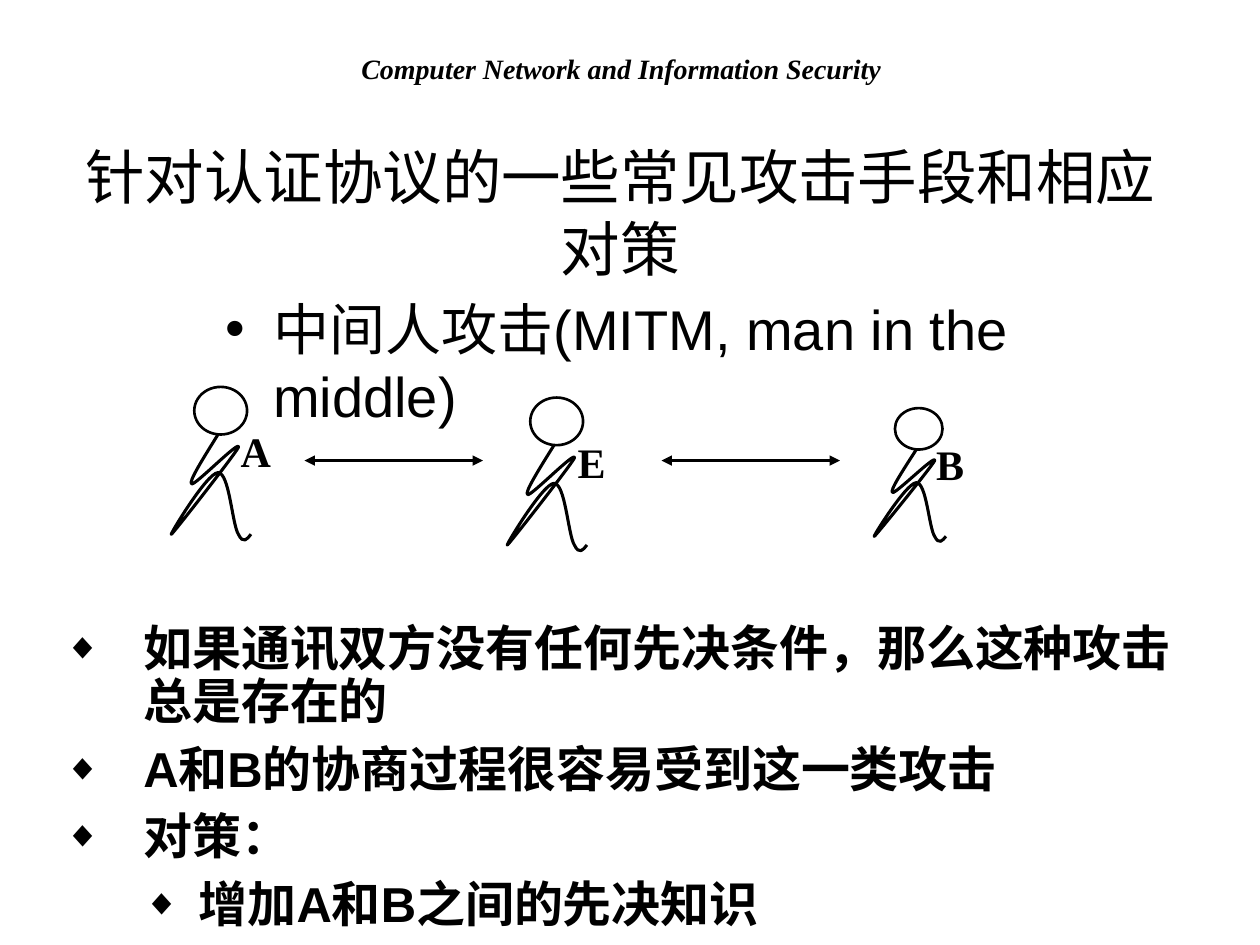
from dataclasses import dataclass

from lxml import etree
from pptx import Presentation
from pptx import util as u
from pptx.dml.color import RGBColor
from pptx.enum import shapes, text
from pptx.oxml.ns import qn

COLORS = {"ink": "000000", "paper": "FFFFFF"}
SANS, SERIF = "Arial", "Times New Roman"
CENTER = text.PP_ALIGN.CENTER
TOP, MIDDLE = text.MSO_ANCHOR.TOP, text.MSO_ANCHOR.MIDDLE

# Walking figure, in points from its top left corner
HEAD = (13, 0, 30.2, 27.2)
LABEL = (38, 22.8, 20.2, 27.2)
BODY_START = (26.6, 27.2)
# Two control points and the end point of each curve
BODY_CURVES = [
    (18, 41), (9.4, 54.7), (11.5, 55.4),
    (13, 56.9), (39.6, 29.5), (38.2, 34.6),
    (36, 38.9), (2.2, 82.1), (0, 84.2),
    (-2.2, 86.4), (20.2, 49), (26.6, 49),
    (33.1, 49), (34.6, 78.5), (38.2, 84.2),
    (41, 90), (43.2, 87.1), (45.4, 84.2),
]


def color(name):
    return RGBColor.from_string(COLORS[name])


def bend(shape):
    """Turn each three line segments of a freeform into one cubic curve."""
    segments = list(shape._element.iter(qn("a:lnTo")))
    for first in range(0, len(segments), 3):
        curve = etree.Element(qn("a:cubicBezTo"))
        segments[first].addprevious(curve)
        for segment in segments[first:first + 3]:
            curve.append(segment[0])
            segment.getparent().remove(segment)


def add_text(frame, content, size=28, font=SANS, bold=False, italic=False, align=None,
             bullet=None, bullet_size=100, margin=0, hanging=0, level=0,
             line_spacing=None, before=0):
    """Write one paragraph into a text frame."""
    paragraph = frame.paragraphs[0]
    if paragraph.runs:
        paragraph = frame.add_paragraph()
    paragraph.alignment = align
    paragraph.level = level
    paragraph.line_spacing = line_spacing
    paragraph.space_before = u.Pt(before)
    run = paragraph.add_run()
    run.text = content
    run.font.size, run.font.name = u.Pt(size), font
    run.font.bold, run.font.italic = bold, italic
    run.font.color.rgb = color("ink")
    if bullet:
        properties = paragraph._p.get_or_add_pPr()
        properties.set("marL", str(u.Pt(margin)))
        properties.set("indent", str(-u.Pt(hanging)))
        bullet_color = etree.SubElement(properties, qn("a:buClr"))
        etree.SubElement(bullet_color, qn("a:srgbClr"), val=COLORS["ink"])
        etree.SubElement(properties, qn("a:buSzPct"), val=str(bullet_size * 1000))
        etree.SubElement(properties, qn("a:buFont"), typeface=SANS)
        etree.SubElement(properties, qn("a:buChar"), char=bullet)


@dataclass
class Sketch:
    slide: object
    line_width: float = 1.5
    body_width: float = 1.75

    def text_box(self, left, top, width, height, anchor=None, wrap=True, side=7.2):
        box = self.slide.shapes.add_textbox(*map(u.Pt, (left, top, width, height)))
        frame = box.text_frame
        frame.word_wrap = wrap
        frame.vertical_anchor = anchor
        frame.margin_left = frame.margin_right = u.Pt(side)
        return frame

    def banner(self, left, top, width, height):
        shape = self.slide.shapes.add_shape(
            shapes.MSO_SHAPE.RECTANGLE, *map(u.Pt, (left, top, width, height)))
        shape.shadow.inherit = False
        shape.fill.solid()
        shape.fill.fore_color.rgb = color("paper")
        shape.line.fill.background()
        shape.text_frame.word_wrap = True
        shape.text_frame.vertical_anchor = TOP
        return shape.text_frame

    def outline(self, shape, width):
        shape.shadow.inherit = False
        shape.fill.background()
        shape.line.color.rgb = color("ink")
        shape.line.width = u.Pt(width)

    def person(self, name, left, top, scale_x=1, scale_y=1):
        def place(x, y):
            return left + x * scale_x, top + y * scale_y

        def area(x, y, width, height):
            return *place(x, y), width * scale_x, height * scale_y

        head = self.slide.shapes.add_shape(shapes.MSO_SHAPE.OVAL, *map(u.Pt, area(*HEAD)))
        self.outline(head, self.line_width)
        start, *rest = [tuple(map(u.Pt, place(*point)))
                        for point in (BODY_START, *BODY_CURVES)]
        builder = self.slide.shapes.build_freeform(*start)
        builder.add_line_segments(rest, close=False)
        body = builder.convert_to_shape()
        bend(body)
        self.outline(body, self.body_width)
        label = self.text_box(*area(*LABEL), anchor=MIDDLE, wrap=False, side=0)
        add_text(label, name, size=24, font=SERIF, bold=True, align=CENTER)

    def double_arrow(self, left, right, y):
        arrow = self.slide.shapes.add_connector(
            shapes.MSO_CONNECTOR.STRAIGHT, *map(u.Pt, (left, y, right, y)))
        arrow.line.color.rgb = color("ink")
        arrow.line.width = u.Pt(self.line_width)
        line = arrow.line._get_or_add_ln()
        for end in ("a:headEnd", "a:tailEnd"):
            etree.SubElement(line, qn(end), type="triangle")
        etree.SubElement(arrow._element.spPr, qn("a:effectLst"))


def main():
    presentation = Presentation()
    presentation.slide_width, presentation.slide_height = u.Pt(720), u.Pt(540)
    slide = presentation.slides.add_slide(presentation.slide_layouts[6])
    slide.background.fill.solid()
    slide.background.fill.fore_color.rgb = color("paper")
    sketch = Sketch(slide)

    # Course name, title and topic
    course = sketch.banner(117, 26.2, 476, 26.6)
    add_text(course, "Computer Network and Information Security", size=16, font=SERIF,
             bold=True, italic=True, align=CENTER)
    title = sketch.text_box(30, 74.2, 649, 93.6, anchor=MIDDLE)
    add_text(title, "针对认证协议的一些常见攻击手段和相应对策", size=34, align=CENTER)
    topic = sketch.text_box(122, 164.7, 552, 72.7)
    add_text(topic, "中间人攻击(MITM, man in the middle)", size=32,
             bullet="•", margin=27, hanging=27)

    # Two parties with the attacker between them
    sketch.person("A", 98, 221.1)
    sketch.person("B", 499.7, 233.2, scale_x=0.9, scale_y=0.87)
    sketch.person("E", 290, 227.2)
    for left in (174, 378):
        sketch.double_arrow(left, left + 102, 263.2)

    # Remarks and countermeasure
    remarks = sketch.text_box(30, 353.2, 649, 188.6)
    for level, content in (
        (0, "如果通讯双方没有任何先决条件，那么这种攻击总是存在的"),
        (0, "A和B的协商过程很容易受到这一类攻击"),
        (0, "对策："),
        (1, "增加A和B之间的先决知识"),
    ):
        margin, hanging = ((44.8, 44.8), (76.5, 31.5))[level]
        add_text(remarks, content, bold=True, bullet="◆", bullet_size=75, level=level,
                 margin=margin, hanging=hanging, line_spacing=0.9, before=8.4)

    presentation.save("out.pptx")


if __name__ == "__main__":
    main()
